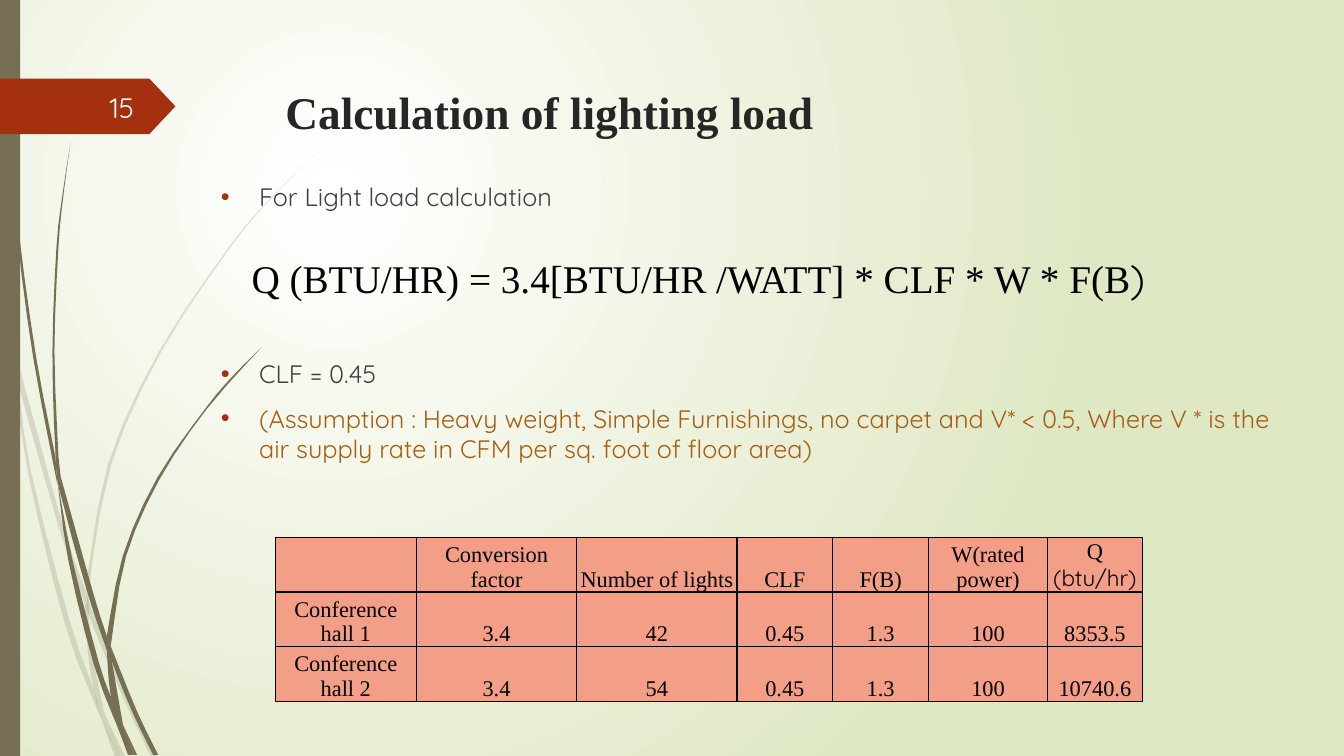
from lxml.etree import SubElement
from pptx import Presentation
from pptx.dml.color import RGBColor
from pptx.enum.shapes import MSO_SHAPE
from pptx.enum.text import MSO_ANCHOR, MSO_AUTO_SIZE, PP_ALIGN
from pptx.oxml import parse_xml
from pptx.oxml.ns import nsdecls, qn
from pptx.util import Inches, Pt

SERIF, SANS = "Times New Roman", "Quicksand"
BLACK, BROWN, RED, GRAY = "000000", "766F54", "A53010", "404040"

# Each blade part: one edge, then the other edge back to the start.
PALE = [
    ([(0.11, 3.5), (0.09, 3.22), (0, 2.82)], [(0, 2.99), (0.1, 3.44), (0.11, 3.5)]),
    ([(0.14, 3.45), (0.17, 3.76), (0.58, 5.22), (0.84, 5.99)],
     [(0.85, 5.86), (0.62, 5.2), (0.14, 3.45)]),
    ([(0.88, 5.96), (0.88, 6.1), (1.23, 6.94), (1.5, 7.51)],
     [(1.55, 7.51), (1.27, 6.92), (0.92, 6.07), (0.88, 5.96)]),
    ([(1.05, 7.11), (1.19, 7.51)], [(1.24, 7.51), (1.05, 7.11)]),
    ([(0.11, 3.5), (0.28, 4.7), (0.65, 6.21), (0.92, 6.93), (1.01, 7.14)],
     [(0.99, 7.07), (0.93, 6.83), (0.7, 6.19), (0.31, 4.69), (0.17, 3.76), (0.11, 3.5)]),
    ([(0.84, 5.99), (0.87, 6.46), (0.93, 6.83), (1.05, 7.11)],
     [(1.03, 7.06), (0.91, 6.46), (0.88, 6.1), (0.84, 5.99)]),
    ([(3.12, 1.53), (2.68, 1.97), (2.28, 2.44), (1.58, 3.48), (1.07, 4.61), (0.85, 5.84)],
     [(0.88, 5.96), (0.88, 5.84), (1.1, 4.62), (1.6, 3.49), (2.29, 2.45), (2.68, 1.98),
      (3.12, 1.53)]),
    ([(1.01, 7.14), (1.14, 7.51)], [(1.19, 7.51), (1.01, 7.14)]),
    ([(0.85, 5.86), (0.84, 5.99)], [(0.88, 6.1), (0.88, 5.96), (0.85, 5.86)]),
    ([(0.93, 6.83), (1.01, 7.14), (1.19, 7.51)], [(1.05, 7.11), (0.96, 6.92), (0.93, 6.83)]),
]
DARK = [
    ([(0.03, 0), (0.07, 1.1), (0.17, 2.33), (0.33, 3.55), (0.57, 4.81)],
     [(0.55, 4.53), (0.36, 3.55), (0.19, 2.32), (0.08, 1.09), (0.04, 0)]),
    ([(0.6, 4.72), (0.64, 5.05), (0.88, 5.92), (1.06, 6.45)],
     [(1.06, 6.31), (0.93, 5.9), (0.6, 4.72)]),
    ([(1.1, 6.41), (1.11, 6.56), (1.32, 7.08), (1.52, 7.49)],
     [(1.57, 7.49), (1.36, 7.06), (1.13, 6.49), (1.1, 6.41)]),
    ([(0.57, 4.77), (0.68, 5.57), (0.93, 6.59), (1.17, 7.22)],
     [(1.1, 6.91), (0.98, 6.57), (0.72, 5.56), (0.57, 4.77)]),
    ([(0.7, 1.41), (0.62, 1.93), (0.56, 2.45), (0.52, 3.49), (0.55, 4.49), (0.6, 4.72)],
     [(0.58, 4.53), (0.54, 3.49), (0.58, 2.45), (0.63, 1.93), (0.7, 1.41)]),
    ([(1.22, 7.19), (1.33, 7.49)], [(1.36, 7.49), (1.22, 7.19)]),
    ([(0.55, 4.49), (0.57, 4.77), (0.64, 5.05)], [(0.6, 4.72), (0.55, 4.49)]),
    ([(2.6, 3.44), (2.31, 3.73), (2.04, 4.05), (1.56, 4.74), (1.22, 5.51), (1.06, 6.31)],
     [(1.1, 6.41), (1.11, 6.33), (1.25, 5.52), (1.58, 4.76), (2.05, 4.06), (2.6, 3.44)]),
    ([(1.17, 7.22), (1.27, 7.49)], [(1.31, 7.49), (1.17, 7.22)]),
    ([(1.06, 6.45), (1.1, 6.91), (1.22, 7.19)], [(1.11, 6.56), (1.06, 6.45)]),
    ([(1.06, 6.31), (1.06, 6.45), (1.11, 6.56)], [(1.1, 6.41), (1.06, 6.31)]),
    ([(1.1, 6.91), (1.17, 7.22), (1.3, 7.49)], [(1.33, 7.49), (1.22, 7.19), (1.1, 6.91)]),
]
WIDTHS = [1.4, 1.59, 1.59, 0.95, 0.95, 1.18, 0.94]
ROWS = [
    ["", "Conversion factor", "Number of lights", "CLF", "F(B)", "W(rated power)", "Q "],
    ["Conference hall 1", "3.4", "42", "0.45", "1.3", "100", "8353.5"],
    ["Conference hall 2", "3.4", "54", "0.45", "1.3", "100", "10740.6"],
]
# Text, colour and space before in points
POINTS = [
    ("For Light load calculation", GRAY, 0),
    ("CLF = 0.45", GRAY, 105),
    ("(Assumption : Heavy weight, Simple Furnishings, no carpet and V* < 0.5, "
     "Where V * is the air supply rate in CFM per sq. foot of floor area)", "A65E12", 10),
]


def paint(fill, color):
    fill.solid()
    fill.fore_color.rgb = RGBColor.from_string(color)


def add_run(para, text, size, font, color, bold=False):
    run = para.add_run()
    run.text = text
    run.font.size = Pt(size)
    run.font.name = font
    run.font.bold = bold
    run.font.color.rgb = RGBColor.from_string(color)


def smooth(knots, steps=3):
    """Points of a Catmull-Rom curve through the knots."""
    if len(knots) < 3:
        return knots
    ends = [knots[0], *knots, knots[-1]]
    curve = []
    for span in zip(ends, ends[1:], ends[2:], ends[3:]):
        for t in (step / steps for step in range(steps)):
            curve.append(tuple(
                (2 * q + (r - p) * t + (2 * p - 5 * q + 4 * r - s) * t ** 2
                 + (3 * q - p - 3 * r + s) * t ** 3) / 2
                for p, q, r, s in zip(*span)))
    return curve + [knots[-1]]


def finish(shape, color):
    shape.shadow.inherit = False
    paint(shape.fill, color)
    shape.line.fill.background()


def add_blade(slide, out, back, alpha=100):
    dots = [(Inches(x), Inches(y)) for x, y in smooth(out) + smooth(back)]
    pen = slide.shapes.build_freeform(*dots[0])
    pen.add_line_segments(dots[1:])
    blade = pen.convert_to_shape()
    finish(blade, BROWN)
    color = blade.element.spPr.find(qn("a:solidFill"))[0]
    SubElement(color, qn("a:alpha"), val=str(alpha * 1000))


def add_block(slide, kind, box, color):
    block = slide.shapes.add_shape(kind, *map(Inches, box))
    finish(block, color)
    return block


def add_text(slide, box, align, runs):
    frame = slide.shapes.add_textbox(*map(Inches, box)).text_frame
    frame.word_wrap = True
    frame.vertical_anchor = MSO_ANCHOR.MIDDLE
    para = frame.paragraphs[0]
    para.alignment = align
    for run in runs:
        add_run(para, *run)


def set_back(slide):
    fill = slide.background.fill
    fill.gradient()
    for stop, color in zip(fill.gradient_stops, ("FFFFFF", "DFE8C4")):
        stop.color.rgb = RGBColor.from_string(color)
    grad = slide.element.find(".//" + qn("a:gradFill"))
    grad.remove(grad.find(qn("a:lin")))
    grad.append(parse_xml(
        f'<a:path {nsdecls("a")} path="circle"><a:fillToRect l="50000" t="50000" '
        'r="100000" b="100000"/></a:path>'))


def set_holder(holder, box):
    """Place the holder in front and return its text frame."""
    holder.left, holder.top, holder.width, holder.height = map(Inches, box)
    holder.element.getparent().append(holder.element)
    frame = holder.text_frame
    frame.auto_size = MSO_AUTO_SIZE.NONE
    frame.word_wrap = True
    frame.vertical_anchor = MSO_ANCHOR.TOP
    return frame


def add_bullet(para):
    props = para._p.get_or_add_pPr()
    props.set("marL", str(Inches(0.38)))
    props.set("indent", str(-Inches(0.38)))
    SubElement(SubElement(props, qn("a:buClr")), qn("a:srgbClr"), val=RED)
    SubElement(props, qn("a:buFont"), typeface="Arial")
    SubElement(props, qn("a:buChar"), char="•")


def fill_list(frame):
    for index, (text, color, space) in enumerate(POINTS):
        para = frame.add_paragraph() if index else frame.paragraphs[0]
        add_bullet(para)
        para.space_before = Pt(space)
        add_run(para, text, 18, SANS, color)


def add_border(cell):
    props = cell._tc.get_or_add_tcPr()
    for spot, side in enumerate(("lnL", "lnR", "lnT", "lnB")):
        props.insert(spot, parse_xml(
            f'<a:{side} {nsdecls("a")} w="12700"><a:solidFill>'
            f'<a:srgbClr val="{BLACK}"/></a:solidFill></a:{side}>'))


def add_grid(slide):
    box = (2.73, 5.33, sum(WIDTHS), 0.46 * len(ROWS))
    table = slide.shapes.add_table(len(ROWS), len(WIDTHS), *map(Inches, box)).table
    table.first_row = table.horz_banding = False
    for col, width in zip(table.columns, WIDTHS):
        col.width = Inches(width)
    for row, texts in zip(table.rows, ROWS):
        for cell, text in zip(row.cells, texts):
            paint(cell.fill, "F39E87")
            add_border(cell)
            cell.margin_left = cell.margin_right = cell.margin_top = Inches(0.01)
            cell.margin_bottom = 0
            cell.vertical_anchor = MSO_ANCHOR.BOTTOM
            para = cell.text_frame.paragraphs[0]
            para.alignment = PP_ALIGN.CENTER
            if text:
                add_run(para, text, 16, SERIF, BLACK)
    add_run(table.cell(0, 6).text_frame.paragraphs[0], "(btu/hr)", 16, SANS, BLACK)


def main():
    deck = Presentation()
    deck.slide_width, deck.slide_height = Inches(13.33), Inches(7.5)
    slide = deck.slides.add_slide(deck.slide_layouts[1])
    set_back(slide)
    for part in PALE:
        add_blade(slide, *part, alpha=20)
    for part in DARK:
        add_blade(slide, *part)
    add_block(slide, MSO_SHAPE.RECTANGLE, (0, 0, 0.2, 7.5), BROWN)
    flag = add_block(slide, MSO_SHAPE.PENTAGON, (0, 0.78, 1.74, 0.55), RED)
    flag.adjustments[0] = 0.47
    title = set_holder(slide.shapes.title, (2.73, 0.78, 9.53, 0.66)).paragraphs[0]
    title.alignment = PP_ALIGN.LEFT
    add_run(title, "Calculation of lighting load", 32.4, SERIF, "262626", True)
    fill_list(set_holder(slide.placeholders[1], (2.09, 1.75, 10.9, 5.21)))
    add_text(slide, (0.58, 0.86, 0.85, 0.4), PP_ALIGN.RIGHT, [("15", 20, SANS, "FEFFFF")])
    add_grid(slide)
    add_text(slide, (1.78, 2.4, 10.29, 0.71), PP_ALIGN.CENTER, [
        ("Q (BTU/HR) = 3.4[BTU/HR /WATT] * CLF * W * F(B", 28, SERIF, BLACK),
        (")", 28, SANS, BLACK)])
    deck.save("out.pptx")


if __name__ == "__main__":
    main()
